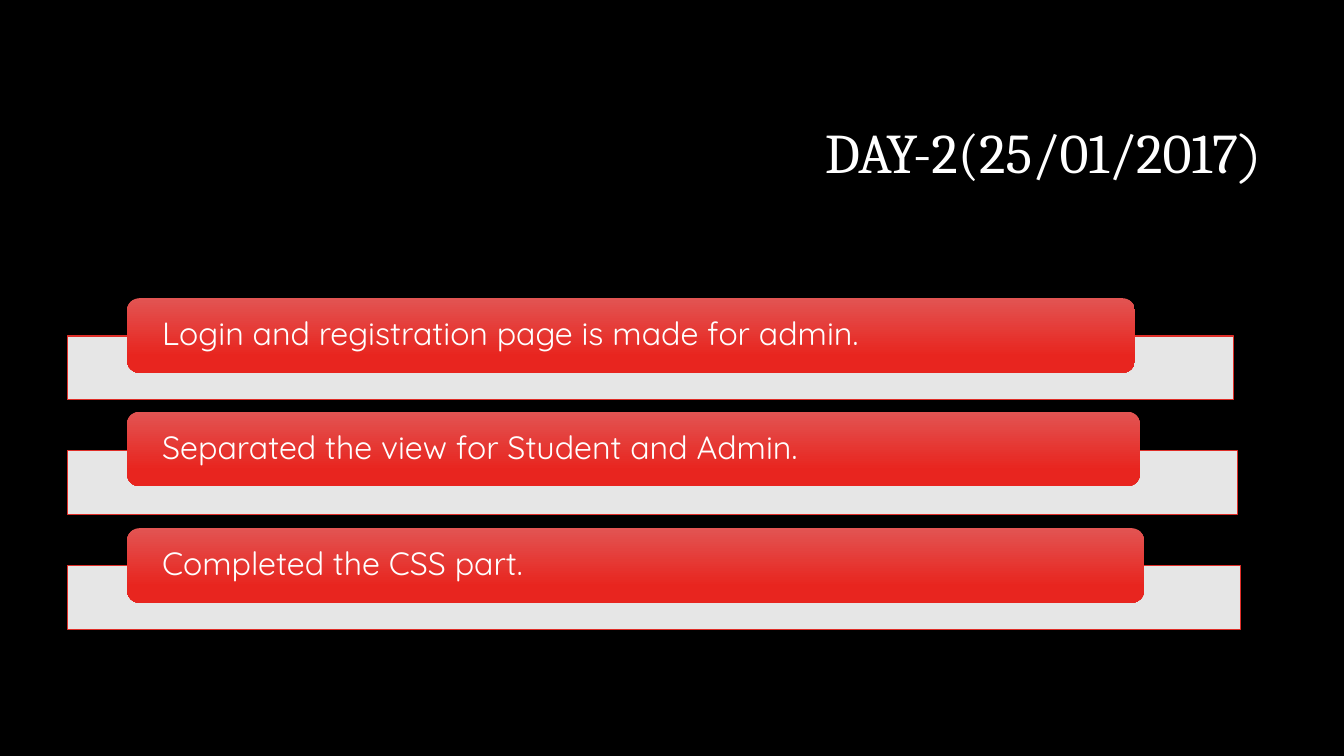
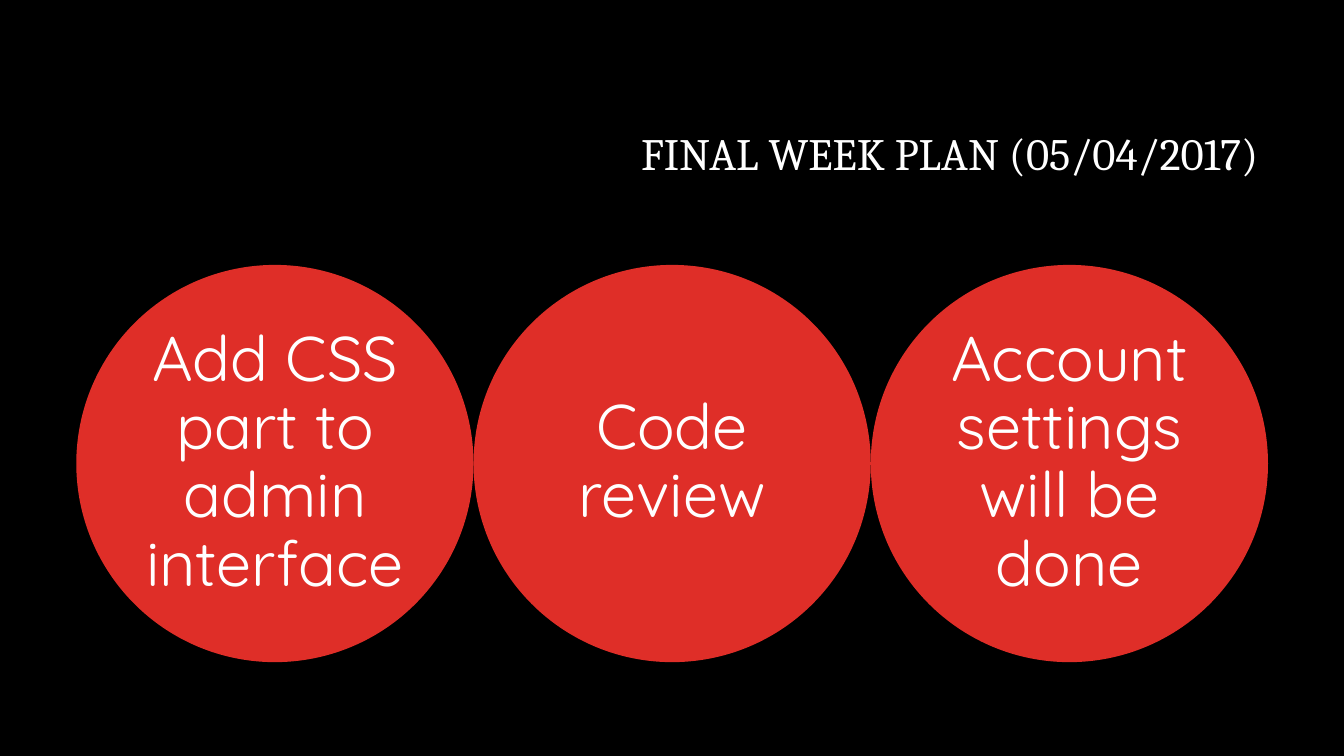
from lxml import etree
from pptx import Presentation
from pptx.dml.color import RGBColor
from pptx.enum import shapes, text
from pptx.oxml.ns import qn
from pptx.util import Pt

COLORS = {"black": "000000", "white": "FFFFFF", "red": "DF2E28",
          "bar_top": "E25452", "bar_bottom": "E8251F"}
HEADING, BODY = "Cambria", "Quicksand"

DAY_TITLE = [("DAY-2(25/01/2017", HEADING), (")", BODY)]
DAY_TASKS = [
    ("Login and registration page is made for admin.", 213, 720, 833),
    ("Separated the view for Student and Admin.", 294, 723.5, 836),
    ("Completed the CSS part.", 377.25, 726.5, 838.25),
]
WEEK_TITLE = [("FINAL WEEK PLAN (05/04/2017)", HEADING)]
WEEK_PLANS = ["Add CSS part to admin interface", "Code review",
              "Account settings will be done"]

TRAY_LEFT, TRAY_TOP, TRAY_HEIGHT, TRAY_PITCH = 48, 240, 45.5, 82
BAR_LEFT, BAR_HEIGHT = 90.75, 53.25
CIRCLE_LEFT, CIRCLE_TOP, CIRCLE_SIZE = 54.5, 189.25, 283.75


def color(name):
    return RGBColor.from_string(COLORS[name])


def write(frame, runs, size, align, side=0):
    settings = {"word_wrap": True, "auto_size": text.MSO_AUTO_SIZE.NONE,
                "vertical_anchor": text.MSO_ANCHOR.MIDDLE,
                "margin_left": Pt(side), "margin_right": Pt(side),
                "margin_top": 0, "margin_bottom": 0}
    for name, value in settings.items():
        setattr(frame, name, value)
    paragraph = frame.paragraphs[0]
    paragraph.alignment = align
    paragraph.line_spacing = 0.9
    for words, typeface in runs:
        run = paragraph.add_run()
        run.text = words
        for name, value in {"size": Pt(size), "name": typeface}.items():
            setattr(run.font, name, value)
        run.font.color.rgb = color("white")


def titled_slide(deck, runs, size):
    slide = deck.slides.add_slide(deck.slide_layouts[5])
    title = slide.shapes.title
    place = {"left": 228.25, "top": 60.5, "width": 678.25, "height": 101.5}
    for name, value in place.items():
        setattr(title, name, Pt(value))
    write(title.text_frame, runs, size, text.PP_ALIGN.RIGHT, 7.2)
    return slide


def add_block(slide, kind, left, top, width, height, fill=None):
    block = slide.shapes.add_shape(kind, Pt(left), Pt(top), Pt(width), Pt(height))
    block.shadow.inherit = False
    block.line.fill.background()
    if fill:
        block.fill.solid()
        block.fill.fore_color.rgb = color(fill)
    return block


def add_tray(slide, top, width):
    tray = add_block(slide, shapes.MSO_SHAPE.RECTANGLE,
                     TRAY_LEFT, top, width, TRAY_HEIGHT, "white")
    tray.line.color.rgb = color("red")
    tray.line.width = Pt(0.75)
    fill_color = tray.fill._xPr.find(qn("a:solidFill"))[0]
    etree.SubElement(fill_color, qn("a:alpha"), val="90000")


def add_bar(slide, task, top, width):
    bar = add_block(slide, shapes.MSO_SHAPE.ROUNDED_RECTANGLE,
                    BAR_LEFT, top, width, BAR_HEIGHT)
    bar.fill.gradient()
    bar.fill.gradient_angle = 270
    stops = [("bar_top", 0), ("bar_bottom", 0.78)]
    for stop, (name, position) in zip(bar.fill.gradient_stops, stops):
        stop.color.rgb = color(name)
        stop.position = position
    write(bar.text_frame, [(task, BODY)], 23, text.PP_ALIGN.LEFT, 22.5)


def build_day(deck):
    slide = titled_slide(deck, DAY_TITLE, 40)
    for row, (task, bar_top, bar_width, tray_width) in enumerate(DAY_TASKS):
        add_tray(slide, TRAY_TOP + row * TRAY_PITCH, tray_width)
        add_bar(slide, task, bar_top, bar_width)


def build_week(deck):
    slide = titled_slide(deck, WEEK_TITLE, 32)
    for column, plan in enumerate(WEEK_PLANS):
        circle = add_block(slide, shapes.MSO_SHAPE.OVAL,
                           CIRCLE_LEFT + column * CIRCLE_SIZE, CIRCLE_TOP,
                           CIRCLE_SIZE, CIRCLE_SIZE, "red")
        write(circle.text_frame, [(plan, BODY)], 45, text.PP_ALIGN.CENTER)


def main():
    deck = Presentation()
    deck.slide_width, deck.slide_height = Pt(960), Pt(540)
    background = deck.slide_master.background.fill
    background.solid()
    background.fore_color.rgb = color("black")
    build_day(deck)
    build_week(deck)
    deck.save("out.pptx")


if __name__ == "__main__":
    main()
